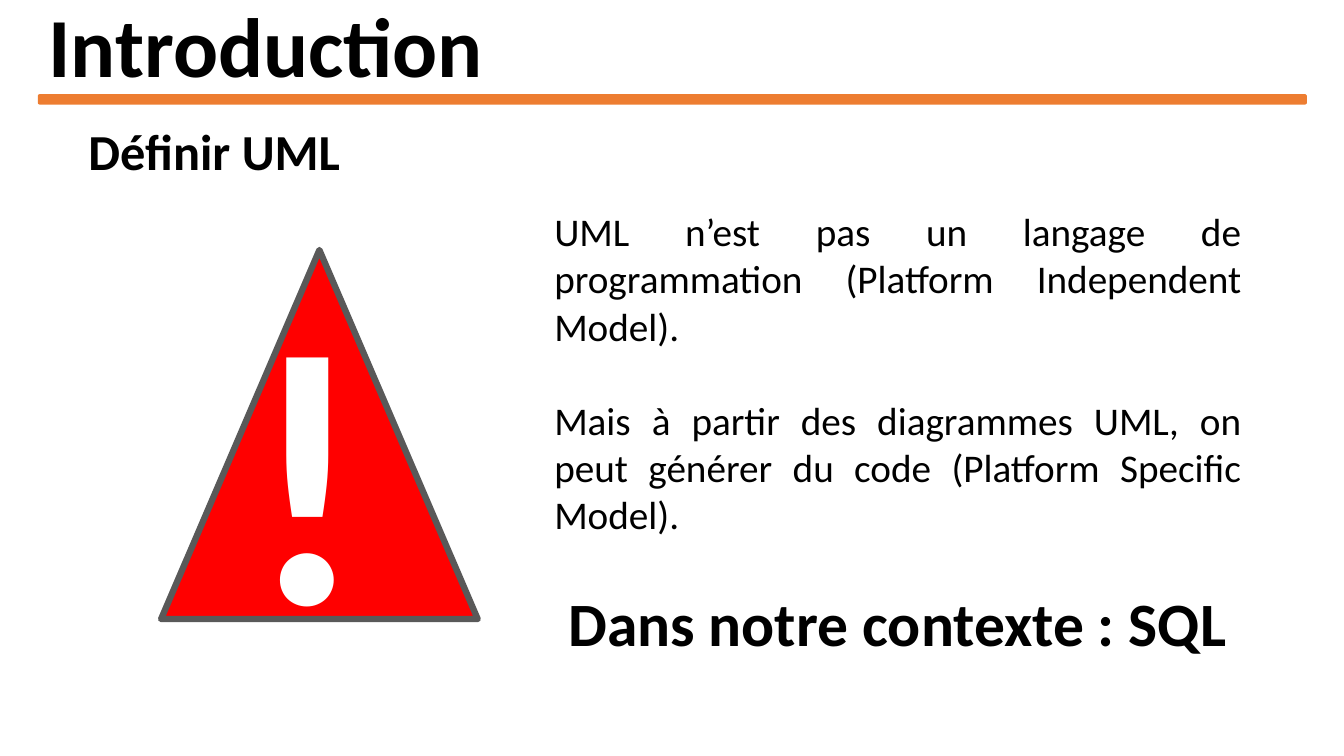
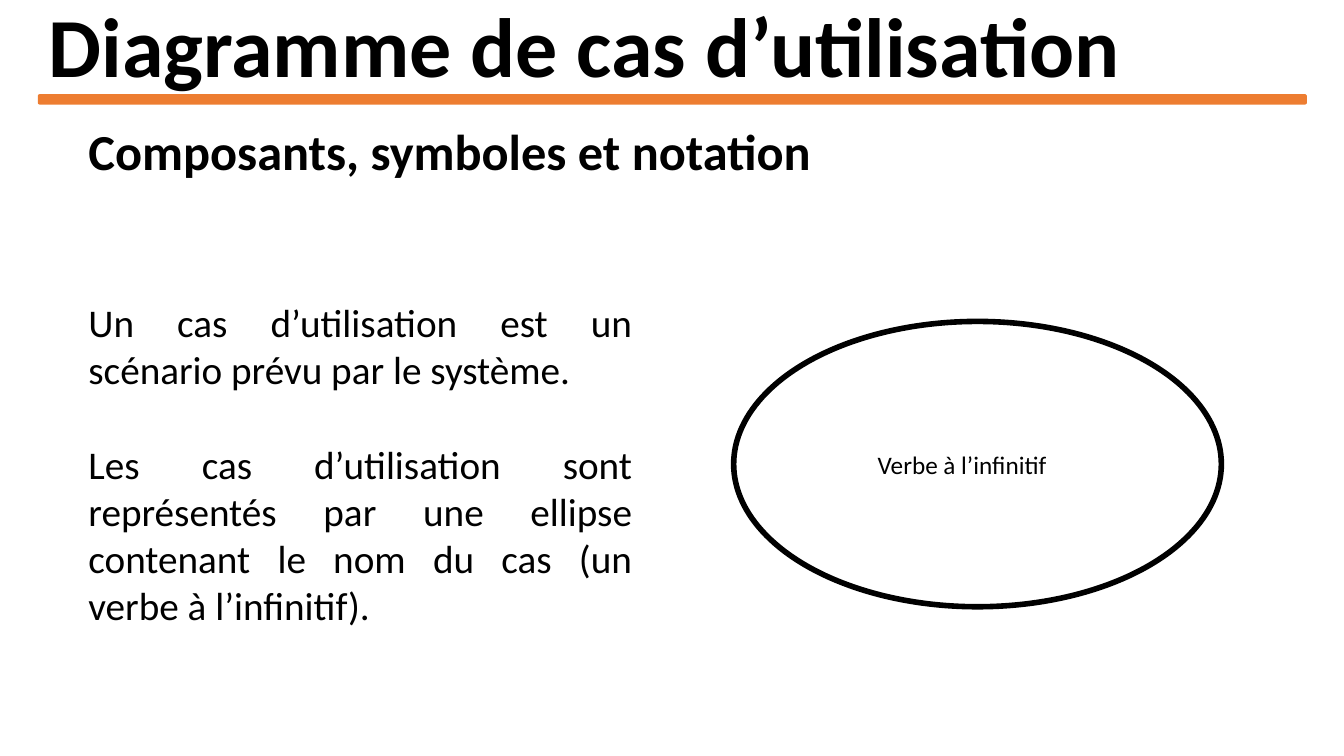
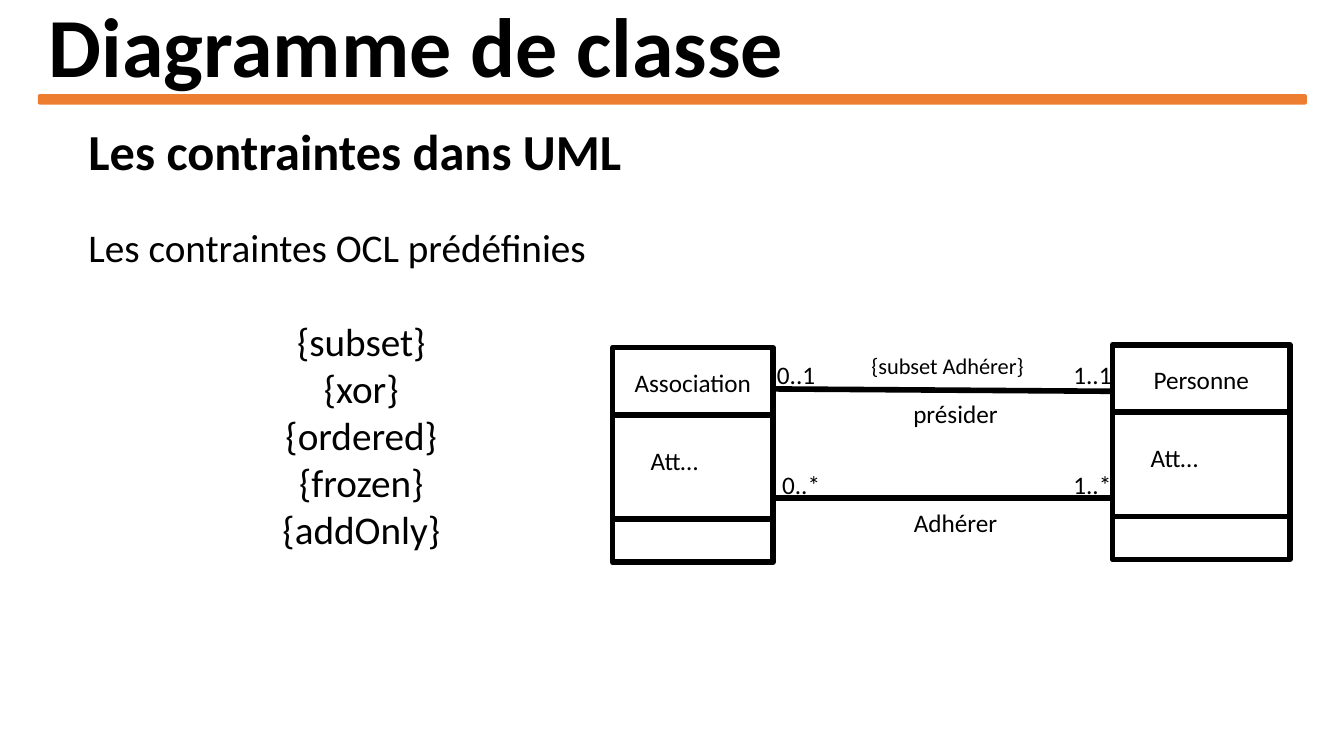
from pptx import Presentation
from pptx.dml.color import RGBColor
from pptx.enum.shapes import MSO_CONNECTOR as CONN, MSO_SHAPE as SHAPE
from pptx.enum.text import MSO_ANCHOR as ANCHOR, MSO_AUTO_SIZE as AUTO, PP_ALIGN as ALIGN
from pptx.oxml.ns import qn
from pptx.util import Cm, Pt

COLORS = {"text": "000000", "accent": "ED7D31", "alert": "FF0000",
          "border": "595959", "white": "FFFFFF"}

FONTS = {
    "title": {"size": Pt(60), "bold": True},
    "heading": {"size": Pt(36), "bold": True},
    "body": {"size": Pt(28), "bold": False},
    "key": {"size": Pt(44), "bold": True},
    "mark": {"size": Pt(258), "bold": True},
    "label": {"size": Pt(18), "bold": False},
    "note": {"size": Pt(16), "bold": False},
}

GAP = {"space_before": Pt(34)}
LEFT = {"alignment": ALIGN.LEFT}
CENTER = {"alignment": ALIGN.CENTER}
JUSTIFY = {"alignment": ALIGN.JUSTIFY}
TIGHT = {"line_spacing": 0.9}
MARGIN, CONTENT_W = 0.97, 31.95
TEXT_X = 1.98
LINE_W = 4
LABEL_H = 1.02


def rgb(name):
    return RGBColor.from_string(COLORS[name])


def apply(target, values):
    for name, value in values.items():
        setattr(target, name, value)


def place(sp, x, y, w, h):
    apply(sp, {"left": Cm(x), "top": Cm(y), "width": Cm(w), "height": Cm(h)})


def write(tf, paragraphs, color="text", anchor=ANCHOR.TOP):
    apply(tf, {"word_wrap": True, "auto_size": AUTO.NONE, "vertical_anchor": anchor})
    for i, (text, font, layout) in enumerate(paragraphs):
        p = tf.add_paragraph() if i else tf.paragraphs[0]
        apply(p, layout)
        r = p.add_run()
        r.text = text
        apply(r.font, {"name": "Calibri", **FONTS[font]})
        r.font.color.rgb = rgb(color)


def add_text(s, box, paragraphs, **options):
    sp = s.shapes.add_textbox(*map(Cm, box))
    write(sp.text_frame, paragraphs, **options)


def add_label(s, x, y, w, text, font="label", layout=LEFT):
    add_text(s, (x, y, w, LABEL_H), [(text, font, layout)])


def add_shape(s, kind, box, fill=None, line="text", width=LINE_W):
    sp = s.shapes.add_shape(kind, *map(Cm, box))
    sp.shadow.inherit = False
    if fill:
        sp.fill.solid()
        sp.fill.fore_color.rgb = rgb(fill)
    else:
        sp.fill.background()
    sp.line.color.rgb = rgb(line)
    sp.line.width = Pt(width)


def add_line(s, x1, y1, x2, y2):
    c = s.shapes.add_connector(CONN.STRAIGHT, Cm(x1), Cm(y1), Cm(x2), Cm(y2))
    c.line.color.rgb = rgb("text")
    c.line.width = Pt(LINE_W)
    pr = c._element.spPr
    pr.append(pr.makeelement(qn("a:effectLst"), {}))


def add_class(s, x, y, w, name):
    add_shape(s, SHAPE.RECTANGLE, (x, y, w, 5.41), fill="white")
    for dy in (1.7, 4.32):
        add_line(s, x, y + dy, x + w, y + dy)
    add_label(s, x, y + 0.36, w, name, layout=CENTER)
    add_label(s, x + 0.71, y + 2.34, 2.6, "Att…")


def add_slide(prs, title, heading):
    s = prs.slides.add_slide(prs.slide_layouts[5])
    place(s.shapes.title, MARGIN, 0, CONTENT_W, 2.54)
    write(s.shapes.title.text_frame, [(title, "title", {**LEFT, **TIGHT})],
          anchor=ANCHOR.MIDDLE)
    add_text(s, (TEXT_X, 2.9, 29.92, 1.8), [(heading, "heading", JUSTIFY)])
    add_shape(s, SHAPE.ROUNDED_RECTANGLE, (MARGIN, 2.39, CONTENT_W, 0.23),
              fill="accent", line="accent", width=1)
    return s


def introduction(prs):
    s = add_slide(prs, "Introduction", "Définir UML")
    add_text(s, (13.72, 5.11, 17.81, 11.71), [
        ("UML n’est pas un langage de programmation (Platform Independent Model).",
         "body", JUSTIFY),
        ("Mais à partir des diagrammes UML, on peut générer du code "
         "(Platform Specific Model).", "body", {**JUSTIFY, **GAP}),
        ("Dans notre contexte : SQL", "key", {**CENTER, **GAP}),
    ])
    add_shape(s, SHAPE.ISOSCELES_TRIANGLE, (4.06, 6.3, 7.98, 9.3),
              fill="alert", line="border", width=4.5)
    add_text(s, (5.77, 8.23, 3.94, 8.13), [("!", "mark", {**CENTER, **TIGHT})],
             color="white", anchor=ANCHOR.MIDDLE)


def use_case(prs):
    s = add_slide(prs, "Diagramme de cas d’utilisation", "Composants, symboles et notation")
    add_text(s, (TEXT_X, 7.39, 14.2, 8.64), [
        ("Un cas d’utilisation est un scénario prévu par le système.", "body", JUSTIFY),
        ("Les cas d’utilisation sont représentés par une ellipse contenant "
         "le nom du cas (un verbe à l’infinitif).", "body", {**JUSTIFY, **GAP}),
    ])
    add_shape(s, SHAPE.OVAL, (18.49, 8.1, 12.29, 7.19))
    add_label(s, 21.87, 11.2, 5.56, "Verbe à l’infinitif")


def class_diagram(prs):
    s = add_slide(prs, "Diagramme de classe", "Les contraintes dans UML")
    constraints = ["{subset}", "{xor}", "{ordered}", "{frozen}", "{addOnly}"]
    add_text(s, (TEXT_X, 5.49, 14.25, 8.64), [
        ("Les contraintes OCL prédéfinies", "body", JUSTIFY),
        (constraints[0], "body", {**CENTER, **GAP}),
        *[(c, "body", CENTER) for c in constraints[1:]],
    ])
    x1, w1, x2 = 15.44, 4.04, 28.04
    add_class(s, x1, 8.76, w1, "Association")
    add_class(s, x2, 8.69, 4.47, "Personne")
    for y1, y2, x, y, start, end, name in (
            (9.8, 9.86, 19.33, 8.94, "0..1", "1..1", "présider"),
            (12.55, 12.55, 19.46, 11.71, "0..*", "1..*", "Adhérer")):
        add_line(s, x1 + w1, y1, x2, y2)
        add_label(s, x, y, 1.52, start)
        add_label(s, 26.8, y, 1.7, end)
        add_label(s, 22.06, y + 0.96, 4.04, name, layout=CENTER)
    add_label(s, 21.11, 8.76, 5.54, "{subset Adhérer}", "note", CENTER)


def main():
    prs = Presentation()
    apply(prs, {"slide_width": Cm(33.87), "slide_height": Cm(19.05)})
    for build in (introduction, use_case, class_diagram):
        build(prs)
    prs.save("out.pptx")


if __name__ == "__main__":
    main()
